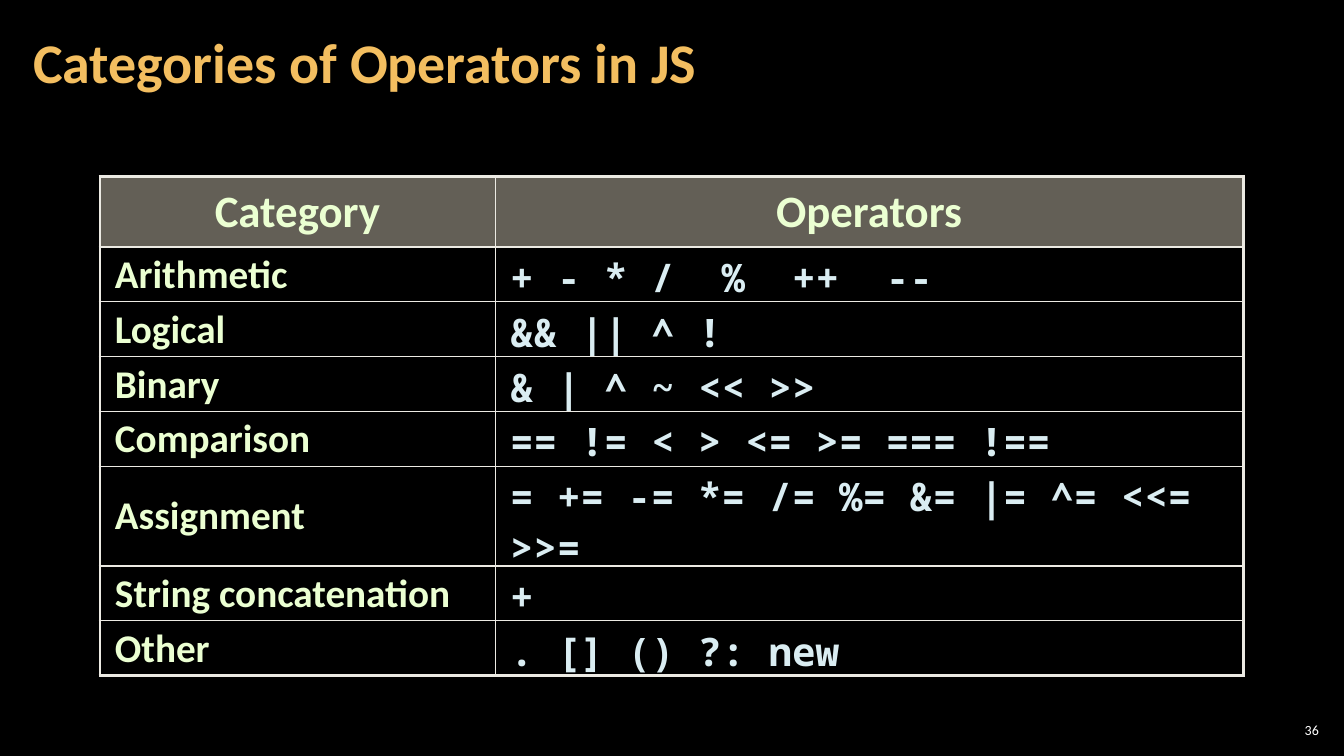
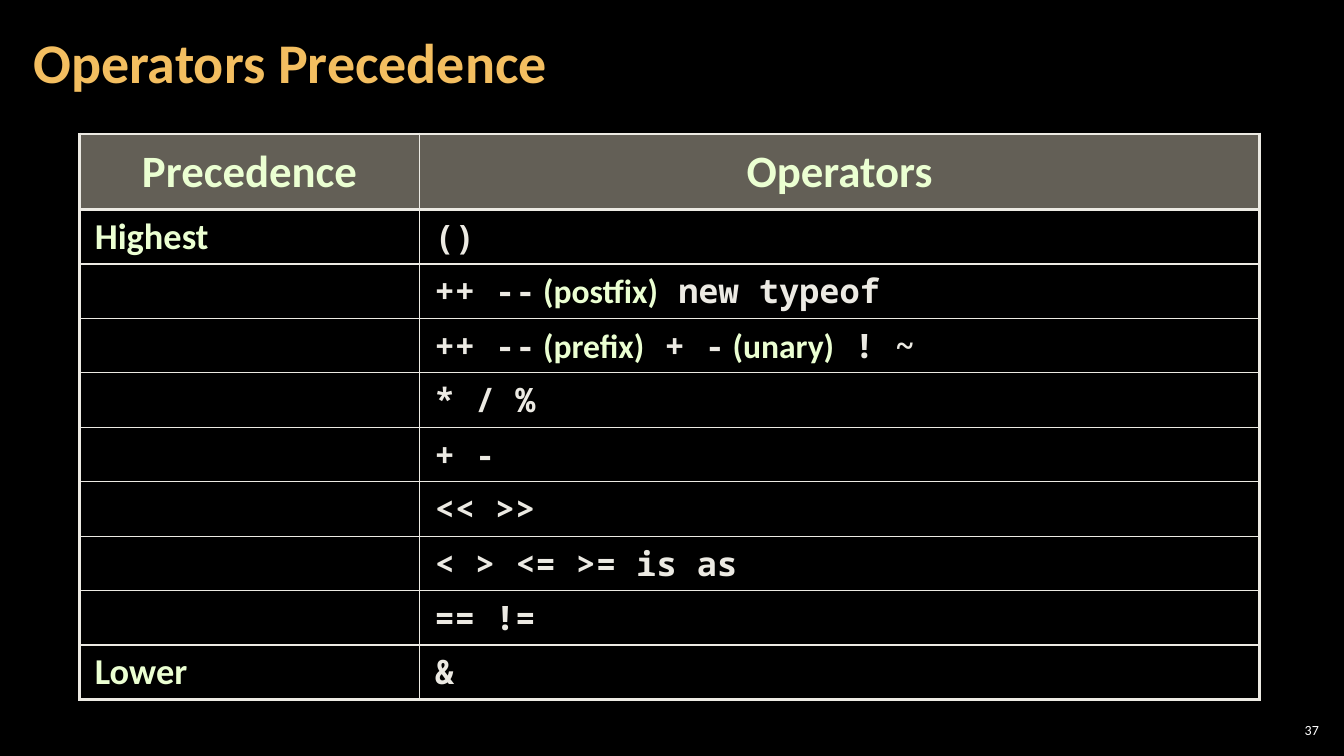
import dataclasses

import lxml.etree
import pptx
import pptx.dml.color
import pptx.enum.text
import pptx.oxml.ns
import pptx.util

ALIGN = pptx.enum.text.PP_ALIGN
ANCHOR = pptx.enum.text.MSO_ANCHOR


@dataclasses.dataclass(frozen=True)
class Theme:
    background: str = "000000"
    title: str = "F3BE60"
    label: str = "EBFFD2"
    code: str = "DAEDF2"
    rule: str = "ECEAE3"
    header: str = "C7BFAC"
    number: str = "FFFFFF"
    header_opacity: int = 50
    text_font: str = "Calibri"
    code_font: str = "Noto Sans Mono"
    title_size: int = 40
    header_size: int = 32
    large_size: int = 28
    label_size: int = 26
    code_size: int = 24
    number_size: int = 10
    thin: float = 1
    thick: float = 2.25


THEME = Theme()
WIDTH = pptx.util.Inches(13.33)
HEIGHT = pptx.util.Inches(7.5)

CATEGORIES = [
    ("Arithmetic", ["+ - * /  %  ++  --"]),
    ("Logical", ["&& || ^ !"]),
    ("Binary", ["& | ^ ~ << >>"]),
    ("Comparison", ["== != < > <= >= === !=="]),
    ("Assignment", ["= += -= *= /= %= &= |= ^= <<= >>="]),
    ("String concatenation", ["+"]),
    ("Other", [". [] () ?: new"]),
]

PRECEDENCE = [
    ("Highest", ["()"]),
    ("", ["++ --", " (postfix)", " new typeof"]),
    ("", ["++ --", " (prefix)", " + -", " (unary)", " ! ~"]),
    ("", ["* / %"]),
    ("", ["+ -"]),
    ("", ["<< >>"]),
    ("", ["< > <= >= is as"]),
    ("", ["== !="]),
    ("Lower", ["&"]),
]


def across(percent):
    return round(WIDTH * percent / 100)


def down(percent):
    return round(HEIGHT * percent / 100)


def color(value):
    return pptx.dml.color.RGBColor.from_string(value)


def add_span(para, text, *, size, ink, font=THEME.text_font, bold=True):
    span = para.add_run()
    span.text = text
    span.font.name = font
    span.font.size = pptx.util.Pt(size)
    span.font.bold = bold
    span.font.color.rgb = color(ink)


def add_text(page, text, *, left, top, width, height, inset, spacing=None,
             align=ALIGN.LEFT, **style):
    box = page.shapes.add_textbox(across(left), down(top), across(width), down(height))
    frame = box.text_frame
    frame.word_wrap = True
    frame.vertical_anchor = ANCHOR.MIDDLE
    frame.margin_left = frame.margin_right = pptx.util.Inches(inset)
    frame.margin_top = frame.margin_bottom = pptx.util.Inches(0.04)
    para = frame.paragraphs[0]
    para.alignment = align
    para.line_spacing = spacing
    add_span(para, text, **style)


def add_page(deck, title, number):
    page = deck.slides.add_slide(deck.slide_layouts[6])
    add_text(page, title, left=1.58, top=0.53, width=78.54, height=16.13,
             inset=0.12, spacing=0.9, size=THEME.title_size, ink=THEME.title)
    add_text(page, str(number), left=94.9, top=95.2, width=3.53, height=2.8,
             inset=0.04, align=ALIGN.RIGHT, size=THEME.number_size,
             ink=THEME.number, bold=False)
    return page


def set_borders(cell, **widths):
    properties = cell._tc.get_or_add_tcPr()
    for index, side in enumerate("LRTB"):
        line = lxml.etree.Element(
            pptx.oxml.ns.qn(f"a:ln{side}"), w=str(pptx.util.Pt(widths[side])))
        fill = lxml.etree.SubElement(line, pptx.oxml.ns.qn("a:solidFill"))
        lxml.etree.SubElement(fill, pptx.oxml.ns.qn("a:srgbClr"), val=THEME.rule)
        properties.insert(index, line)


def fill_header(cell):
    cell.fill.solid()
    cell.fill.fore_color.rgb = color(THEME.header)
    for tint in cell._tc.tcPr.findall("a:solidFill/a:srgbClr", pptx.oxml.ns._nsmap):
        lxml.etree.SubElement(
            tint, pptx.oxml.ns.qn("a:alpha"), val=str(THEME.header_opacity * 1000))


def prepare_cell(cell, *, anchor=ANCHOR.MIDDLE, align=ALIGN.LEFT):
    cell.margin_left = cell.margin_right = pptx.util.Inches(0.15)
    cell.margin_top = cell.margin_bottom = pptx.util.Inches(0.05)
    cell.vertical_anchor = anchor
    para = cell.text_frame.paragraphs[0]
    para.alignment = align
    para.line_spacing = 0.95
    return para


def write_label(cell, text, *, size):
    cell.fill.background()
    para = prepare_cell(cell)
    if text:
        add_span(para, text, size=size, ink=THEME.label)
    else:
        para.font.size = pptx.util.Pt(size)


def write_operators(cell, parts, *, size, ink, anchor):
    cell.fill.background()
    para = prepare_cell(cell, anchor=anchor)
    for index, part in enumerate(parts):
        if index % 2:
            add_span(para, part, size=size, ink=THEME.label)
        else:
            add_span(para, part, size=size, ink=ink, font=THEME.code_font)


def add_operator_table(page, headings, rows, *, left, top, width, first_share,
                       heights, label_size, code_size, code_ink,
                       anchor=ANCHOR.MIDDLE, thick_rules=(0, 1)):
    table = page.shapes.add_table(
        len(heights), 2, across(left), down(top), across(width),
        down(sum(heights))).table
    table.first_row = table.horz_banding = False
    for column, share in zip(table.columns, (first_share, 100 - first_share)):
        column.width = across(width * share / 100)
    for row, height in zip(table.rows, heights):
        row.height = down(height)

    for index, heading in enumerate(headings):
        cell = table.cell(0, index)
        fill_header(cell)
        para = prepare_cell(cell, align=ALIGN.CENTER)
        add_span(para, heading, size=THEME.header_size, ink=THEME.label)
    for index, (label, parts) in enumerate(rows, start=1):
        write_label(table.cell(index, 0), label, size=label_size)
        write_operators(table.cell(index, 1), parts, size=code_size,
                        ink=code_ink, anchor=anchor)

    def weight(edge):
        return THEME.thick if edge in (*thick_rules, len(heights)) else THEME.thin

    for index in range(len(heights)):
        above, below = weight(index), weight(index + 1)
        set_borders(table.cell(index, 0), L=THEME.thick, R=THEME.thin, T=above, B=below)
        set_borders(table.cell(index, 1), L=THEME.thin, R=THEME.thick, T=above, B=below)


def main():
    deck = pptx.Presentation()
    deck.slide_width, deck.slide_height = WIDTH, HEIGHT
    backdrop = deck.slide_master.background.fill
    backdrop.solid()
    backdrop.fore_color.rgb = color(THEME.background)

    page = add_page(deck, "Categories of Operators in JS", 36)
    add_operator_table(
        page, ("Category", "Operators"), CATEGORIES,
        left=7.43, top=23.33, width=85.07, first_share=34.57,
        heights=[9.33] + [7.25] * 4 + [13.2] + [7.25] * 2,
        label_size=THEME.large_size, code_size=THEME.large_size,
        code_ink=THEME.code)

    page = add_page(deck, "Operators Precedence", 37)
    add_operator_table(
        page, ("Precedence", "Operators"), PRECEDENCE,
        left=5.93, top=17.73, width=87.8, first_share=28.8,
        heights=[10] + [7.2] * len(PRECEDENCE),
        label_size=THEME.label_size, code_size=THEME.code_size,
        code_ink=THEME.rule, anchor=ANCHOR.TOP, thick_rules=(0, 1, 2))

    deck.save("out.pptx")


if __name__ == "__main__":
    main()
